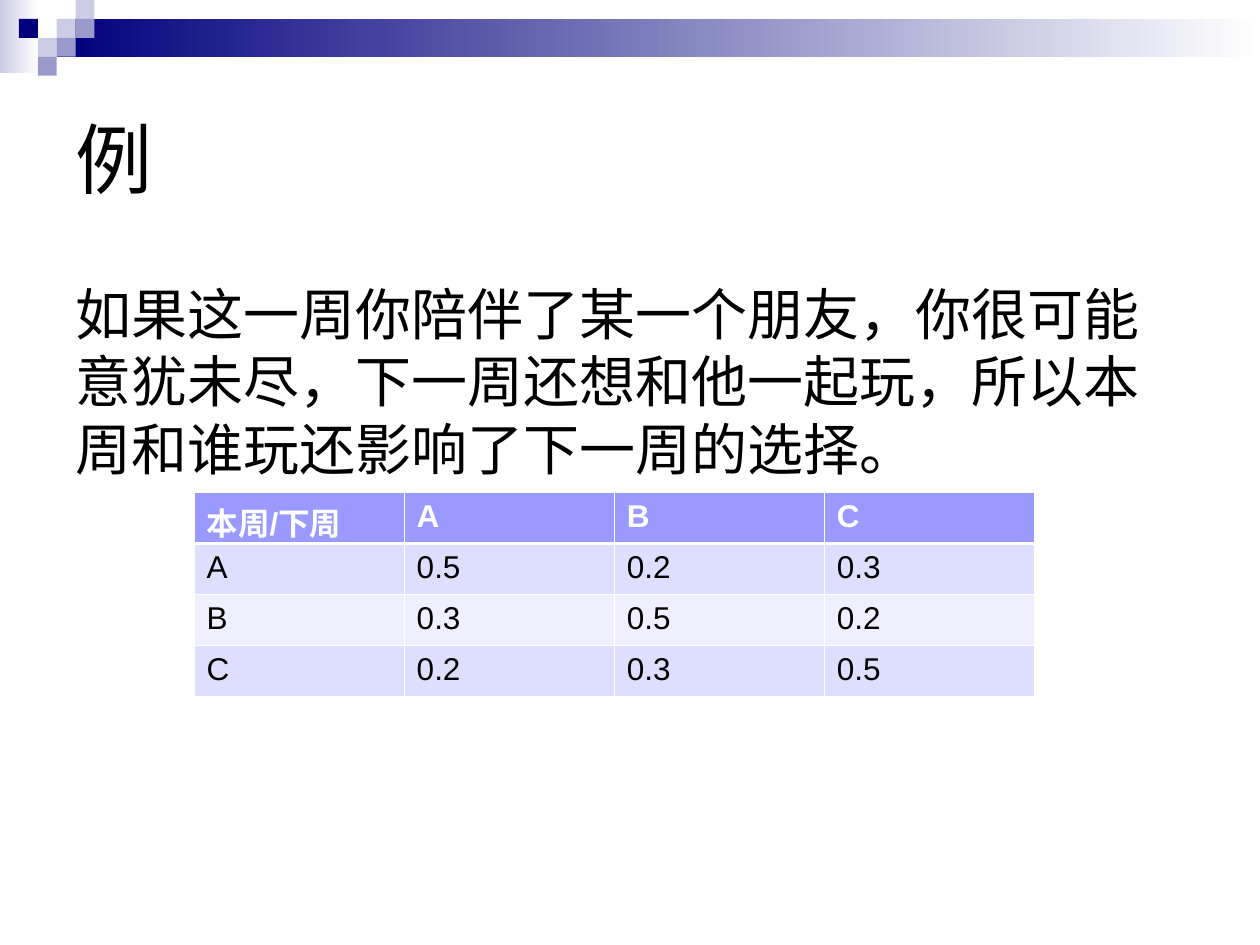
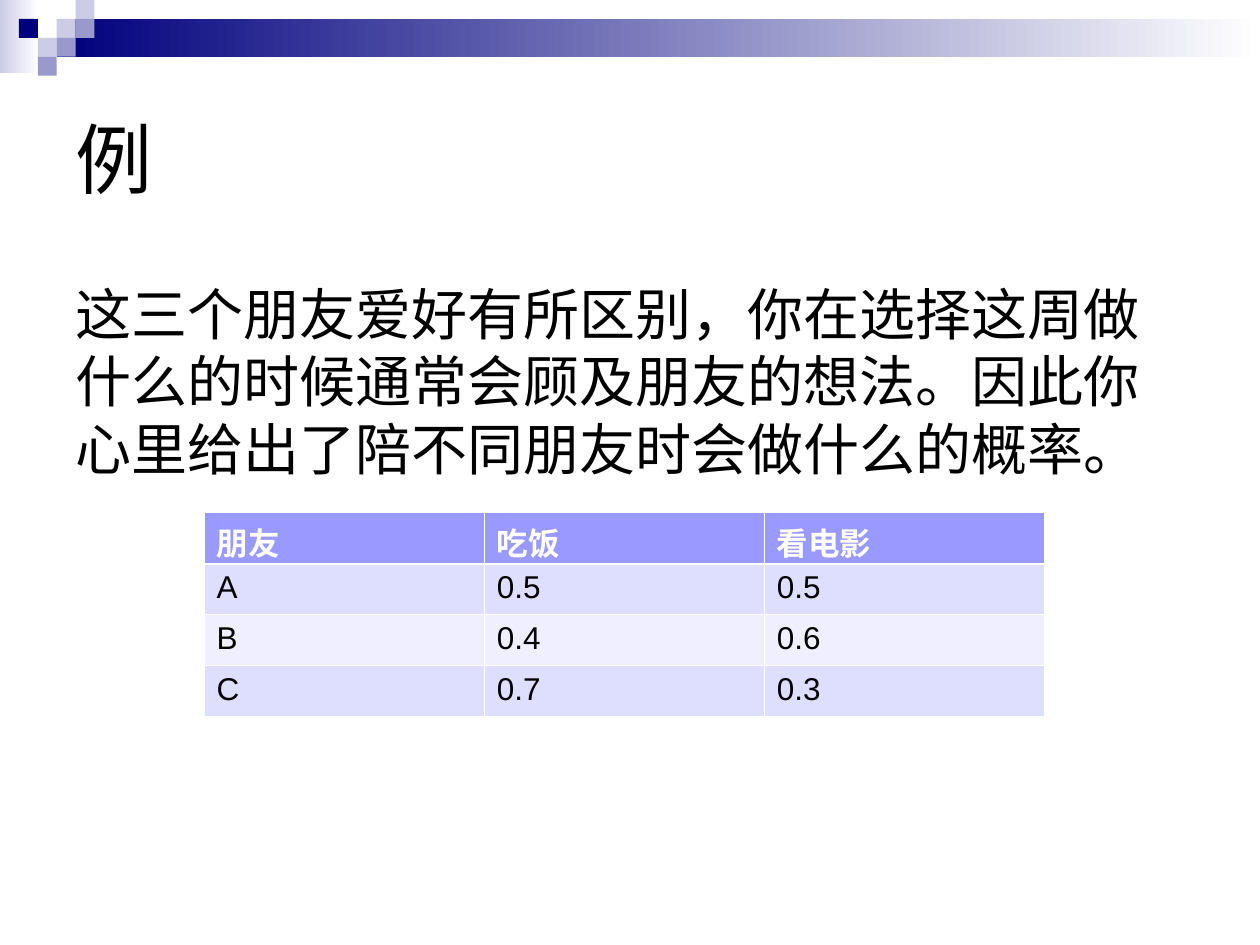
"""Build two example slides on choosing which friend to spend the week with."""
import pptx
import pptx.dml.color
import pptx.enum.shapes
import pptx.enum.text
import pptx.oxml.ns
import pptx.util
from lxml import etree

Inches = pptx.util.Inches
Pt = pptx.util.Pt

EXAMPLES = [
    {
        "title": "例",
        "body": "如果这一周你陪伴了某一个朋友，你很可能意犹未尽，下一周还想和他一起玩，所以本周和谁玩还影响了下一周的选择。",
        "odds": [
            ("本周/下周", "A", "B", "C"),
            ("A", "0.5", "0.2", "0.3"),
            ("B", "0.3", "0.5", "0.2"),
            ("C", "0.2", "0.3", "0.5"),
        ],
        "odds_corner": (1.54, 3.91),
    },
    {
        "title": "例",
        "body": "这三个朋友爱好有所区别，你在选择这周做什么的时候通常会顾及朋友的想法。因此你心里给出了陪不同朋友时会做什么的概率。",
        "odds": [
            ("朋友", "吃饭", "看电影"),
            ("A", "0.5", "0.5"),
            ("B", "0.4", "0.6"),
            ("C", "0.7", "0.3"),
        ],
        "odds_corner": (1.62, 4.07),
    },
]

COLORS = {
    "black": "000000",
    "white": "FFFFFF",
    "navy": "00007D",
    "mist": "CCCCE6",
    "slate": "9999CC",
    "header": "9999FF",
    "odd_row": "DEDEFF",
    "even_row": "EFEFFF",
}
FONT = "Arial"
BANDS = [((0, 0, 0.31, 0.58), "mist"), ((0.45, 0.15, 9.55, 0.3), "navy")]
TILE = 0.15
TILES = [
    (3, 1, "mist"), (4, 0, "mist"), (4, 1, "slate"), (2, 2, "mist"),
    (1, 1, "navy"), (3, 2, "slate"), (2, 3, "slate"),
]
TITLE_AREA = (0.5, 0.5, 9, 1.5)
BODY_AREA = (0.5, 2.17, 9, 4.25)
ODDS_WIDTH = 6.67
ROW_HEIGHT = 0.405
THIN, THICK = 0.45, 1.47


def rgb(color):
    return pptx.dml.color.RGBColor.from_string(COLORS[color])


def write(frame, text, *, size, color="black", bold=False, space_before=0, anchor="TOP"):
    frame.word_wrap = True
    frame.vertical_anchor = pptx.enum.text.MSO_ANCHOR[anchor]
    paragraph = frame.paragraphs[0]
    paragraph.space_before = Pt(space_before)
    run = paragraph.add_run()
    run.text = text
    run.font.name = FONT
    run.font.size = Pt(size)
    run.font.bold = bold
    run.font.color.rgb = rgb(color)


def add_block(slide, area, color, fades=False):
    block = slide.shapes.add_shape(
        pptx.enum.shapes.MSO_SHAPE.RECTANGLE, *map(Inches, area))
    block.shadow.inherit = False
    block.line.fill.background()
    if fades:
        block.fill.gradient()
        block.fill.gradient_angle = 0
        for stop, shade in zip(block.fill.gradient_stops, (color, "white")):
            stop.color.rgb = rgb(shade)
    else:
        block.fill.solid()
        block.fill.fore_color.rgb = rgb(color)


def add_banner(slide):
    for area, color in BANDS:
        add_block(slide, area, color, fades=True)
    for column, row, color in TILES:
        add_block(slide, (column * TILE, row * TILE, TILE, TILE), color)


def set_borders(cell, top, bottom):
    qn = pptx.oxml.ns.qn
    properties = cell._tc.get_or_add_tcPr()
    for side, width in (("L", THIN), ("R", THIN), ("T", top), ("B", bottom)):
        edge = etree.SubElement(properties, qn(f"a:ln{side}"), w=str(Pt(width)))
        paint = etree.SubElement(edge, qn("a:solidFill"))
        etree.SubElement(paint, qn("a:srgbClr"), val=COLORS["white"])


def add_odds(slide, rows, corner):
    columns = len(rows[0])
    odds = slide.shapes.add_table(
        len(rows), columns, *map(Inches, corner),
        Inches(ODDS_WIDTH), Inches(ROW_HEIGHT * len(rows))).table
    odds.first_row = odds.horz_banding = False
    for column in odds.columns:
        column.width = Inches(ODDS_WIDTH / columns)
    for r, row in enumerate(rows):
        is_header = r == 0
        shade = "header" if is_header else "odd_row" if r % 2 else "even_row"
        for c, value in enumerate(row):
            cell = odds.cell(r, c)
            set_borders(cell, THICK if r == 1 else THIN, THICK if is_header else THIN)
            cell.fill.solid()
            cell.fill.fore_color.rgb = rgb(shade)
            write(cell.text_frame, value, size=18, bold=is_header,
                  color="white" if is_header else "black")


def add_text(slide, area, text, **style):
    write(slide.shapes.add_textbox(*map(Inches, area)).text_frame, text, **style)


def main():
    deck = pptx.Presentation()
    deck.slide_width, deck.slide_height = Inches(10), Inches(7.5)
    for example in EXAMPLES:
        slide = deck.slides.add_slide(deck.slide_layouts[6])
        add_banner(slide)
        add_text(slide, TITLE_AREA, example["title"], size=44, anchor="MIDDLE")
        add_text(slide, BODY_AREA, example["body"], size=32, space_before=8)
        add_odds(slide, example["odds"], example["odds_corner"])
    deck.save("out.pptx")


if __name__ == "__main__":
    main()
